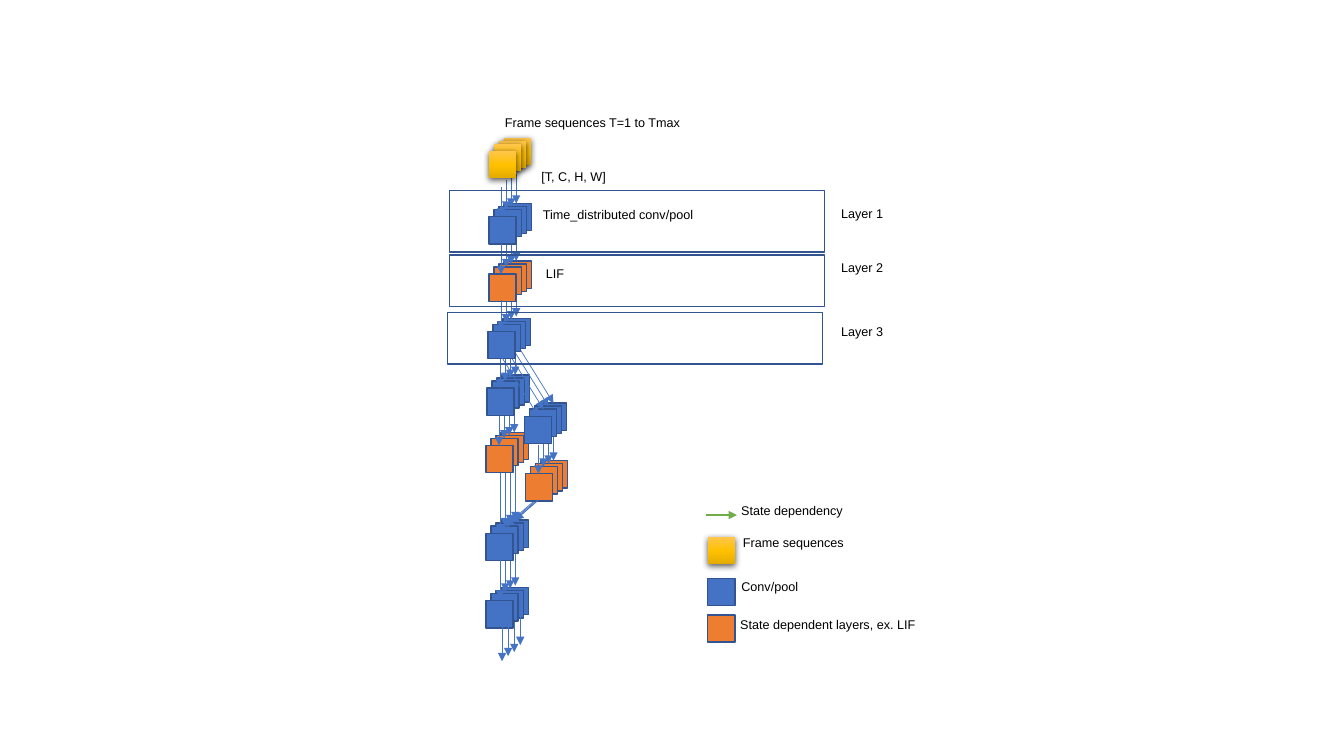
from copy import deepcopy

from lxml import etree
from pptx import Presentation
from pptx.dml.color import RGBColor
from pptx.enum.shapes import MSO_CONNECTOR, MSO_SHAPE
from pptx.enum.text import PP_ALIGN
from pptx.oxml.ns import qn
from pptx.util import Inches, Pt

BLUE = RGBColor(0x44, 0x72, 0xC4)
ORANGE = RGBColor(0xED, 0x7D, 0x31)
GREEN = RGBColor(0x70, 0xAD, 0x47)
EDGE = RGBColor(0x32, 0x54, 0x91)
BLACK = RGBColor(0, 0, 0)
GOLD = [
    (0, RGBColor(0xFF, 0xC6, 0x4B)),
    (0.5, RGBColor(0xFF, 0xC0, 0x00)),
    (1, RGBColor(0xE3, 0xAB, 0x00)),
]
RECT = MSO_SHAPE.RECTANGLE
STRAIGHT = MSO_CONNECTOR.STRAIGHT
LEFT, CENTER, JUSTIFY = PP_ALIGN.LEFT, PP_ALIGN.CENTER, PP_ALIGN.JUSTIFY
SIDE = 0.27

prs = Presentation()
prs.slide_width, prs.slide_height = Inches(13.33), Inches(7.5)
slide = prs.slides.add_slide(prs.slide_layouts[6])
shapes = slide.shapes


def box(x, y, fill, width=SIDE, height=SIDE):
    """Draw a rectangle: outlined and flat, shaded for GOLD, hollow for None."""
    shape = shapes.add_shape(RECT, Inches(x), Inches(y), Inches(width), Inches(height))
    shape.shadow.inherit = False
    shape.line.color.rgb = EDGE
    shape.line.width = Pt(1)
    if fill is None:
        shape.fill.background()
    elif fill is GOLD:
        shape.line.fill.background()
        shape.fill.gradient()
        shape.fill.gradient_angle = 270
        props = shape.element.spPr
        stops = props.find(".//" + qn("a:gsLst"))
        stops.insert(1, deepcopy(stops[0]))
        for stop, (place, color) in zip(shape.fill.gradient_stops, GOLD):
            stop.position = place
            stop.color.rgb = color
        shade = etree.SubElement(
            props.find(qn("a:effectLst")), qn("a:outerShdw"),
            blurRad=str(Pt(4.5)), dist=str(Pt(1.5)), dir="5400000",
            algn="ctr", rotWithShape="0")
        black = etree.SubElement(shade, qn("a:srgbClr"), val="000000")
        etree.SubElement(black, qn("a:alpha"), val="63000")
    else:
        shape.fill.solid()
        shape.fill.fore_color.rgb = fill


def arrow(x1, y1, x2, y2, color=BLUE, width=0.5):
    line = shapes.add_connector(STRAIGHT, Inches(x1), Inches(y1), Inches(x2), Inches(y2))
    line.line.color.rgb = color
    line.line.width = Pt(width)
    props = line.element.spPr
    etree.SubElement(props.find(qn("a:ln")), qn("a:tailEnd"), type="triangle")
    etree.SubElement(props, qn("a:effectLst"))


# Network at the rearmost time step
NODES = [
    (5, 1.37, GOLD),
    (5, 2.02, BLUE),
    (5, 2.59, ORANGE),
    (4.99, 3.16, BLUE),
    (4.98, 3.72, BLUE),
    (4.97, 4.29, ORANGE),
    (5.35, 4, BLUE),
    (5.36, 4.57, ORANGE),
    (4.97, 5.16, BLUE),
    (4.97, 5.83, BLUE),
]
LINKS = [
    (5.12, 1.73, 5.12, 2.02),
    (5.12, 2.29, 5.12, 2.59),
    (5.12, 2.85, 5.12, 3.14),
    (5.11, 3.43, 5.11, 3.72),
    (5.13, 3.42, 5.49, 4),
    (5.1, 4, 5.1, 4.29),
    (5.49, 4.28, 5.49, 4.57),
    (5.11, 4.56, 5.11, 5.16),
    (5.49, 4.83, 5.11, 5.16),
    (5.11, 5.43, 5.11, 5.81),
]
# Each later time step sits further left and lower
STEPS = [(0, 0), (-0.05, 0.03), (-0.1, 0.06), (-0.15, 0.13)]

arrow(5.1, 6.09, 5.1, 6.47)
for dx, dy in STEPS:
    for x, y, fill in NODES:
        box(x + dx, y + dy, fill)
    for x1, y1, x2, y2 in LINKS:
        arrow(x1 + dx, y1 + dy, x2 + dx, y2 + dy)
for x, y in [(4.98, 6.17), (5.16, 6.01), (5.04, 6.12)]:
    arrow(x, y, x, y + 0.39)

# Layer frames
for x, y, height in [(4.46, 1.89, 0.61), (4.46, 2.53, 0.51), (4.44, 3.1, 0.51)]:
    box(x, y, None, 3.72, height)

# Legend keys
arrow(7, 5.11, 7.31, 5.11, GREEN, 1.5)
for y, fill in [(5.33, GOLD), (5.74, BLUE), (6.1, ORANGE)]:
    box(7.02, y, fill)

LABELS = [
    ("Frame sequences T=1 to Tmax", 4.91, 1.09, 1.95, JUSTIFY),
    ("[T, C, H, W]", 5.26, 1.63, 0.86, CENTER),
    ("Time_distributed conv/pool", 5.28, 2, 1.7, CENTER),
    ("LIF", 5.31, 2.59, 0.39, CENTER),
    ("Layer 1", 8.24, 1.99, 0.62, CENTER),
    ("Layer 2", 8.24, 2.53, 0.62, CENTER),
    ("Layer 3", 8.24, 3.16, 0.62, CENTER),
    ("State dependency", 7.25, 4.94, 1.21, CENTER),
    ("Frame sequences", 7.27, 5.26, 1.21, LEFT),
    ("Conv/pool", 7.25, 5.69, 0.77, CENTER),
    ("State dependent layers, ex. LIF", 7.24, 6.07, 1.94, CENTER),
]
for text, x, y, width, align in LABELS:
    label = shapes.add_textbox(Inches(x), Inches(y), Inches(width), Inches(0.42))
    label.text_frame.word_wrap = False
    para = label.text_frame.paragraphs[0]
    para.alignment = align
    run = para.add_run()
    run.text = text
    run.font.name = "Arial"
    run.font.size = Pt(9)
    run.font.color.rgb = BLACK

prs.save("out.pptx")
